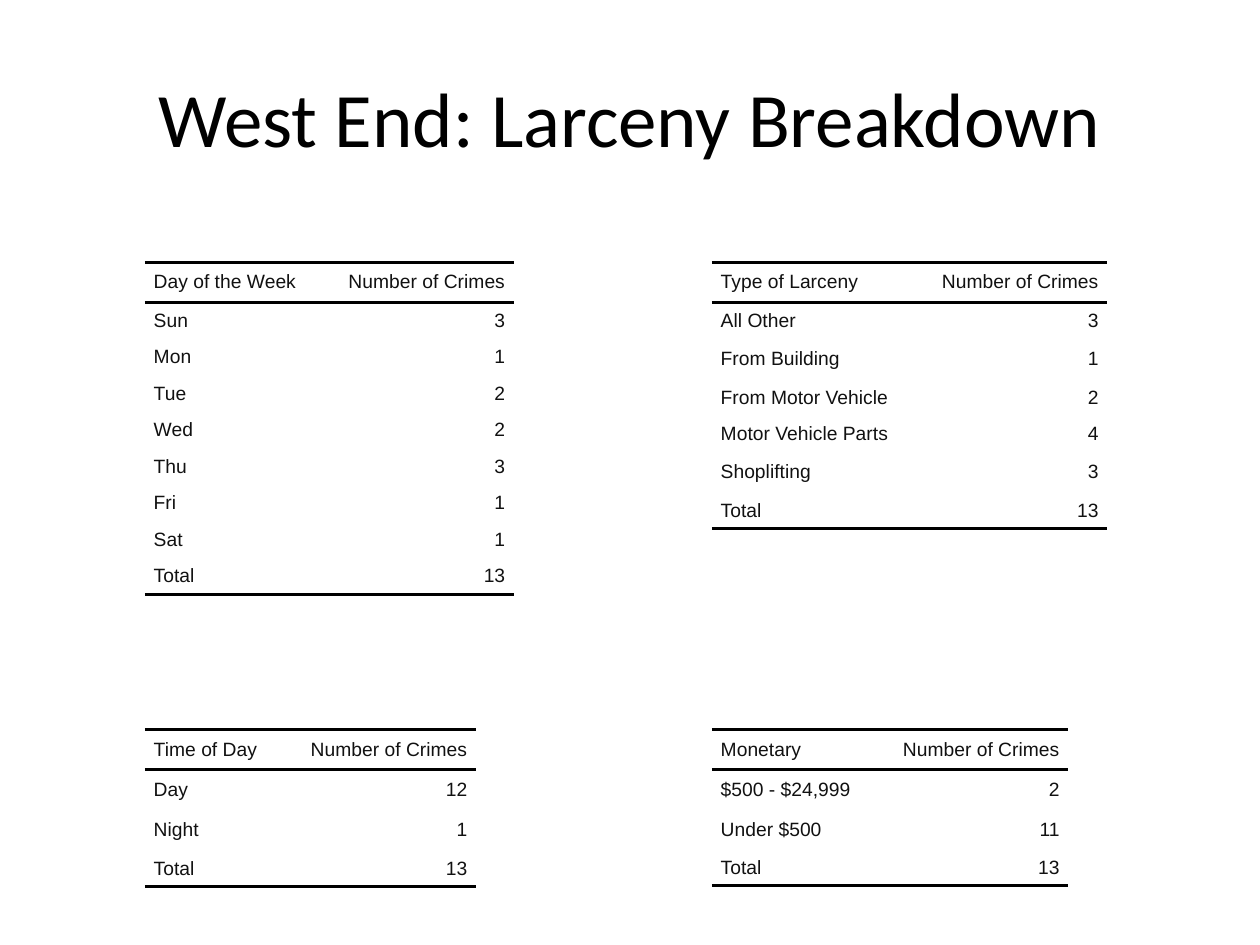
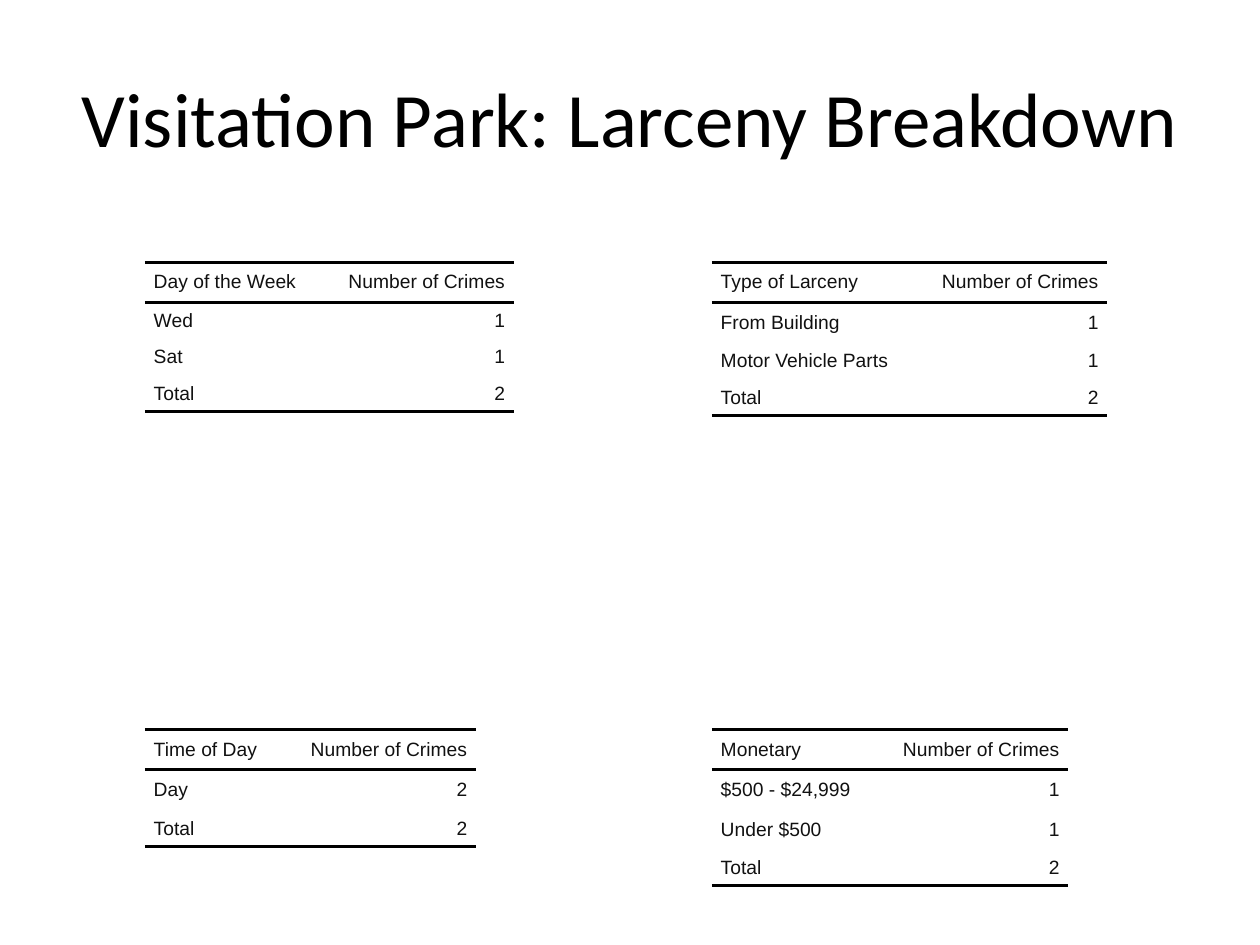
from pptx import Presentation
from pptx import util as u
from pptx.dml.color import RGBColor
from pptx.enum import text
from pptx.oxml import parse_xml
from pptx.oxml.ns import nsdecls, qn

COLORS = {"title": "000000", "rule": "000000", "cell": "111111"}
NO_STYLE = "{2D5ABB26-0587-4C30-8999-92F81FD0307C}"
LEFT, RIGHT = 1.15, 5.65
TOP, BOTTOM = 2.08, 5.79
COUNT_W, HEAD_H, ROW_H, TALL_H = 1.52, 0.32, 0.29, 0.32
INDENT = u.Inches(0.07)

TABLES = {
    "Day of the Week": (LEFT, TOP, 1.41),
    "Time of Day": (LEFT, BOTTOM, 1.11),
    "Type of Larceny": (RIGHT, TOP, 1.62),
    "Monetary": (RIGHT, BOTTOM, 1.31),
}

SLIDES = {
    "West End": {
        "Day of the Week": [("Sun", 3, ROW_H), ("Mon", 1, ROW_H), ("Tue", 2, ROW_H), ("Wed", 2, ROW_H),
                            ("Thu", 3, ROW_H), ("Fri", 1, ROW_H), ("Sat", 1, ROW_H)],
        "Time of Day": [("Day", 12, TALL_H), ("Night", 1, TALL_H)],
        "Type of Larceny": [("All Other", 3, ROW_H), ("From Building", 1, TALL_H),
                            ("From Motor Vehicle", 2, ROW_H), ("Motor Vehicle Parts", 4, ROW_H),
                            ("Shoplifting", 3, TALL_H)],
        "Monetary": [("$500 - $24,999", 2, TALL_H), ("Under $500", 11, 0.31)],
    },
    "Visitation Park": {
        "Day of the Week": [("Wed", 1, ROW_H), ("Sat", 1, ROW_H)],
        "Time of Day": [("Day", 2, TALL_H)],
        "Type of Larceny": [("From Building", 1, TALL_H), ("Motor Vehicle Parts", 1, ROW_H)],
        "Monetary": [("$500 - $24,999", 1, TALL_H), ("Under $500", 1, 0.31)],
    },
}


def style_font(font, name, size, color):
    font.name = name
    font.size = u.Pt(size)
    font.color.rgb = RGBColor.from_string(COLORS[color])


def add_rules(cell, sides):
    tcPr = cell._tc.get_or_add_tcPr()
    for i, side in enumerate(sides):
        tcPr.insert(i, parse_xml(
            f'<a:ln{side} {nsdecls("a")} w="{u.Pt(2)}"><a:solidFill>'
            f'<a:srgbClr val="{COLORS["rule"]}"/></a:solidFill></a:ln{side}>'))


prs = Presentation()
prs.slide_width, prs.slide_height = u.Inches(10), u.Inches(7.5)

for area, breakdown in SLIDES.items():
    s = prs.slides.add_slide(prs.slide_layouts[6])
    tf = s.shapes.add_textbox(u.Inches(0.5), u.Inches(0.3), u.Inches(9), u.Inches(1.25)).text_frame
    tf.word_wrap = True
    tf.vertical_anchor = text.MSO_ANCHOR.MIDDLE
    tf.text = f"{area}: Larceny Breakdown"
    p = tf.paragraphs[0]
    p.alignment = text.PP_ALIGN.CENTER
    style_font(p.runs[0].font, "Calibri", 44, "title")

    for heading, (x, y, label_w) in TABLES.items():
        items = breakdown[heading]
        total = sum(count for _, count, _ in items)
        rows = [(heading, "Number of Crimes", HEAD_H), *items, ("Total", total, ROW_H)]
        height = sum(h for _, _, h in rows)
        table = s.shapes.add_table(len(rows), 2, u.Inches(x), u.Inches(y),
                                   u.Inches(label_w + COUNT_W), u.Inches(height)).table
        table.horz_banding = False
        table._tbl.tblPr.find(qn("a:tableStyleId")).text = NO_STYLE
        table.columns[0].width = u.Inches(label_w)
        table.columns[1].width = u.Inches(COUNT_W)

        for i, (label, count, h) in enumerate(rows):
            table.rows[i].height = u.Inches(h)
            for j, value in enumerate((label, count)):
                cell = table.cell(i, j)
                cell.margin_left = cell.margin_right = cell.margin_top = cell.margin_bottom = 0
                cell.vertical_anchor = text.MSO_ANCHOR.MIDDLE
                cell.fill.background()
                if i == 0:
                    add_rules(cell, "TB")
                elif i == len(rows) - 1:
                    add_rules(cell, "B")
                p = cell.text_frame.paragraphs[0]
                p.text = str(value)
                p.alignment = text.PP_ALIGN.RIGHT if j else text.PP_ALIGN.LEFT
                p.space_before = p.space_after = u.Pt(2)
                pPr = p._p.get_or_add_pPr()
                for side in ("marL", "marR"):
                    pPr.set(side, str(INDENT))
                pPr.set("indent", "0")
                style_font(p.runs[0].font, "Arial", 11, "cell")

prs.save("out.pptx")
